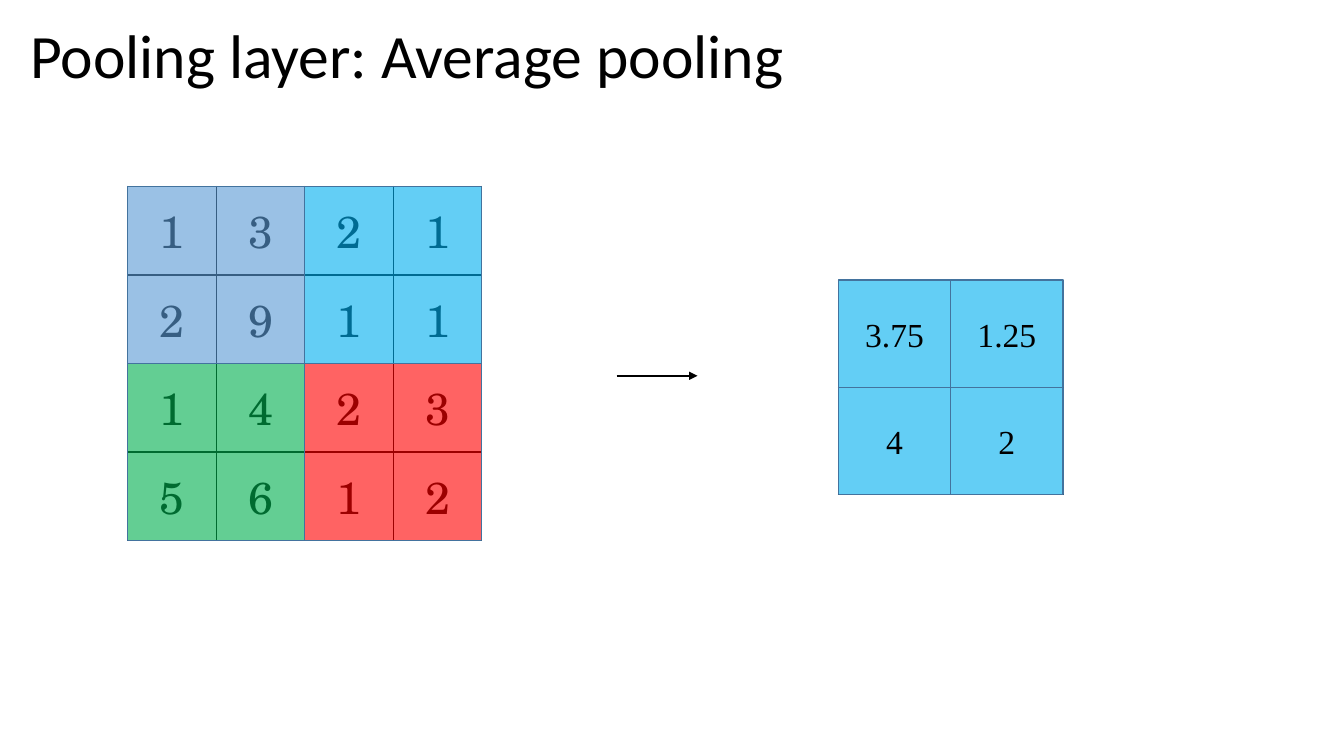
from lxml.etree import SubElement
from pptx import Presentation
from pptx.dml.color import RGBColor
from pptx.enum.shapes import MSO_CONNECTOR, MSO_SHAPE
from pptx.enum.text import MSO_ANCHOR, PP_ALIGN
from pptx.oxml.ns import qn
from pptx.util import Cm, Pt

BLUE, SKY, GREEN, RED = "5B9BD5", "00B0F0", "00B050", "FF0000"
NUMBERS = [
    [1, 3, 2, 1],
    [2, 9, 1, 1],
    [1, 4, 2, 3],
    [5, 6, 1, 2],
]
REGION_COLORS = [[BLUE, SKY], [GREEN, RED]]
POOL = 2


def color(value):
    return RGBColor.from_string(value)


def write(frame, text, font, size, align=PP_ALIGN.CENTER, spacing=None):
    frame.word_wrap = True
    para = frame.paragraphs[0]
    para.alignment = align
    para.line_spacing = spacing
    span = para.add_run()
    span.text = text
    span.font.name = font
    span.font.size = Pt(size)
    span.font.color.rgb = color("000000")


class PoolingPage:
    ink = "000000"
    tile_line = "43739E"
    opacity = 61

    def __init__(self, deck):
        self.page = deck.slides.add_slide(deck.slide_layouts[6])

    def title(self, text, left, top, width, height):
        box = self.page.shapes.add_textbox(Cm(left), Cm(top), Cm(width), Cm(height))
        write(box.text_frame, text, "Calibri", 44, PP_ALIGN.LEFT, 0.9)

    def border(self, cell):
        properties = cell._tc.get_or_add_tcPr()
        for side in ("lnL", "lnR", "lnT", "lnB"):
            line = SubElement(properties, qn(f"a:{side}"), w=str(Pt(1)))
            fill = SubElement(line, qn("a:solidFill"))
            SubElement(fill, qn("a:srgbClr"), val=self.ink)

    def grid(self, rows, left, top, cell_width, cell_height):
        count, across = len(rows), len(rows[0])
        table = self.page.shapes.add_table(
            count, across, Cm(left), Cm(top),
            Cm(cell_width * across), Cm(cell_height * count)).table
        table.first_row = table.horz_banding = False
        for column in table.columns:
            column.width = Cm(cell_width)
        for row, values in zip(table.rows, rows):
            row.height = Cm(cell_height)
            for cell, value in zip(row.cells, values):
                self.border(cell)
                cell.fill.background()
                cell.vertical_anchor = MSO_ANCHOR.MIDDLE
                if value is not None:
                    write(cell.text_frame, str(value), "TeX Gyre Schola", 32)

    def tiles(self, colors, left, top, width, height, labels=None):
        group = self.page.shapes.add_group_shape()
        for i, row in enumerate(colors):
            for j, fill in enumerate(row):
                tile = group.shapes.add_shape(
                    MSO_SHAPE.RECTANGLE, Cm(left + j * width), Cm(top + i * height),
                    Cm(width), Cm(height))
                tile.shadow.inherit = False
                tile.fill.solid()
                tile.fill.fore_color.rgb = color(fill)
                tint = tile._element.spPr.find(qn("a:solidFill")).find(qn("a:srgbClr"))
                SubElement(tint, qn("a:alpha"), val=str(self.opacity * 1000))
                tile.line.color.rgb = color(self.tile_line)
                tile.line.width = Pt(1)
                if labels:
                    tile.text_frame.vertical_anchor = MSO_ANCHOR.MIDDLE
                    write(tile.text_frame, labels[i][j], "Times New Roman", 24)

    def arrow(self, start, end, height):
        arrow = self.page.shapes.add_connector(
            MSO_CONNECTOR.STRAIGHT, Cm(start), Cm(height), Cm(end), Cm(height))
        arrow.line.color.rgb = color(self.ink)
        arrow.line.width = Pt(1.5)
        SubElement(arrow.line._get_or_add_ln(), qn("a:tailEnd"), type="triangle")
        SubElement(arrow._element.spPr, qn("a:effectLst"))


def average(row, column):
    region = [NUMBERS[row + i][column + j] for i in range(POOL) for j in range(POOL)]
    return f"{sum(region) / len(region):g}"


def main():
    deck = Presentation()
    deck.slide_width, deck.slide_height = Cm(33.87), Cm(19.05)
    page = PoolingPage(deck)
    page.title("Pooling layer: Average pooling", 0.51, 0.51, 31.75, 3.68)

    # Pooled result: one average per region
    starts = range(0, len(NUMBERS), POOL)
    averages = [[average(row, column) for column in starts] for row in starts]
    page.grid([[None] * POOL] * POOL, 21.13, 7.06, 2.83, 2.7)
    page.arrow(15.54, 17.58, 9.47)

    # Input numbers, tinted by region
    page.grid(NUMBERS, 3.22, 4.7, 2.23, 2.23)
    page.tiles(REGION_COLORS, 3.22, 4.7, 4.46, 4.46)

    # Tinted averages
    page.tiles([[SKY] * POOL] * POOL, 21.13, 7.06, 2.83, 2.7, averages)
    deck.save("out.pptx")


if __name__ == "__main__":
    main()
